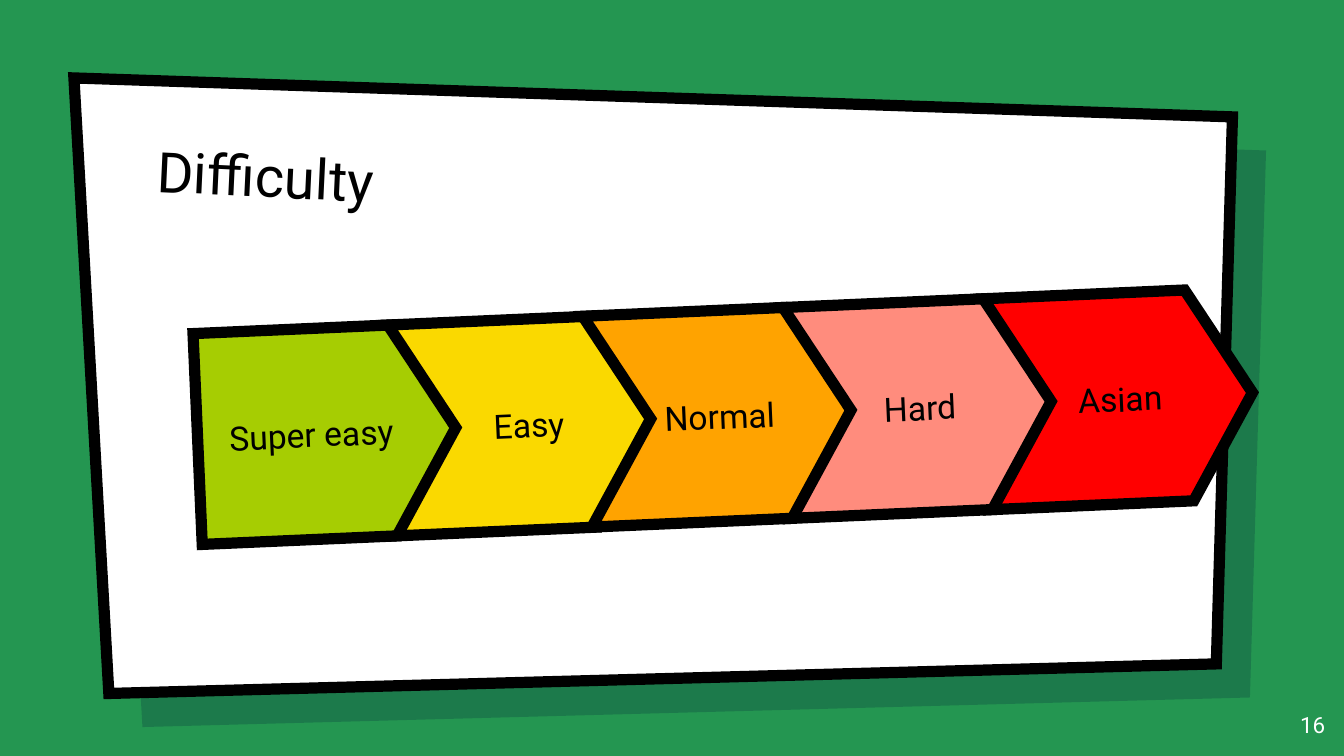
"""Build a slide with a tilted panel and a chain of difficulty steps."""
from dataclasses import dataclass

from lxml import etree
from pptx import Presentation
from pptx.dml.color import RGBColor
from pptx.enum.shapes import MSO_SHAPE
from pptx.enum.text import MSO_ANCHOR, MSO_AUTO_SIZE, PP_ALIGN
from pptx.oxml.ns import qn
from pptx.shapes.autoshape import Shape
from pptx.shapes.shapetree import SlideShapes
from pptx.util import Inches, Pt

PLATE, CHEVRON = MSO_SHAPE.PENTAGON, MSO_SHAPE.CHEVRON
LEFT, CENTER, RIGHT = PP_ALIGN.LEFT, PP_ALIGN.CENTER, PP_ALIGN.RIGHT
TOP, MIDDLE, BOTTOM = MSO_ANCHOR.TOP, MSO_ANCHOR.MIDDLE, MSO_ANCHOR.BOTTOM
NO_FIT = MSO_AUTO_SIZE.NONE


@dataclass(frozen=True)
class Theme:
    """Hold the colours, font and type sizes."""
    green: str = "249651"
    shade: str = "001936"
    white: str = "FFFFFF"
    black: str = "000000"
    font: str = "Roboto"
    title: int = 30
    label: int = 18
    number: int = 12
    line: int = 6


@dataclass(frozen=True)
class Step:
    """Describe one arrow of the chain."""
    text: str
    left: float
    fill: str
    width: float = 1.97
    kind: MSO_SHAPE = CHEVRON


THEME = Theme()
WIDTH = Inches(10)
HEIGHT = WIDTH * 9 // 16
PANEL = [(0.55, 0.58), (9.17, 0.87), (9.05, 4.94), (0.81, 5.16)]
SHIFT = 0.25
STEPS = [
    Step("Super easy", 1.47, "A6CD02", 1.93, PLATE),
    Step(" Easy", 2.92, "FAD900"),
    Step("Normal", 4.37, "FFA300"),
    Step("Hard", 5.86, "FF8C7D"),
    Step("Asian", 7.35, "FF0000"),
]
STEP_TOP, STEP_END, STEP_HEIGHT, STEP_TURN = 2.44, 2.18, 1.57, -2.5
STEP_RISE = (STEP_TOP - STEP_END) / (len(STEPS) - 1)


def place(shape: Shape, left: float, top: float, width: float, height: float) -> None:
    """Set the position and size of a shape in inches."""
    shape.left, shape.top = Inches(left), Inches(top)
    shape.width, shape.height = Inches(width), Inches(height)


def write(shape: Shape, text: str, *, size: int, color: str = THEME.black,
          align: PP_ALIGN = LEFT, anchor: MSO_ANCHOR = TOP) -> None:
    """Write formatted text into a shape."""
    frame = shape.text_frame
    frame.auto_size = NO_FIT
    frame.word_wrap = True
    frame.vertical_anchor = anchor
    frame.margin_left = frame.margin_right = Inches(0.1)
    frame.margin_top = frame.margin_bottom = Inches(0.1)
    para = frame.paragraphs[0]
    para.alignment = align
    run = para.add_run()
    run.text = text
    run.font.name = THEME.font
    run.font.size = Pt(size)
    run.font.color.rgb = RGBColor.from_string(color)


def paint(shape: Shape, fill: str, lined: bool = True) -> None:
    """Fill a shape and give it a sharp outline or none."""
    shape.shadow.inherit = False
    shape.fill.solid()
    shape.fill.fore_color.rgb = RGBColor.from_string(fill)
    if not lined:
        shape.line.fill.background()
        return
    shape.line.color.rgb = RGBColor.from_string(THEME.black)
    shape.line.width = Pt(THEME.line)
    edge = shape.element.spPr.find(qn("a:ln"))
    etree.SubElement(edge, qn("a:miter")).set("lim", "800000")


def draw_panel(shapes: SlideShapes, shift: float, fill: str, lined: bool) -> Shape:
    """Draw the slanted panel, moved right and down by the shift."""
    first, *rest = [(Inches(x + shift), Inches(y + shift)) for x, y in PANEL]
    outline = shapes.build_freeform(*first)
    outline.add_line_segments(rest, close=True)
    panel = outline.convert_to_shape()
    paint(panel, fill, lined)
    return panel


def draw_step(shapes: SlideShapes, step: Step, top: float) -> None:
    """Draw one labelled arrow of the chain."""
    arrow = shapes.add_shape(step.kind, Inches(step.left), Inches(top),
                             Inches(step.width), Inches(STEP_HEIGHT))
    arrow.adjustments[0] = 0.3
    arrow.rotation = STEP_TURN
    paint(arrow, step.fill)
    write(arrow, step.text, size=THEME.label, align=CENTER, anchor=MIDDLE)


def main() -> None:
    """Build and save the slide."""
    deck = Presentation()
    deck.slide_width, deck.slide_height = WIDTH, HEIGHT
    slide = deck.slides.add_slide(deck.slide_layouts[5])
    shapes = slide.shapes
    slide.background.fill.solid()
    slide.background.fill.fore_color.rgb = RGBColor.from_string(THEME.green)

    shade = draw_panel(shapes, SHIFT, THEME.shade, False)
    color = shade.element.spPr.find(qn("a:solidFill"))[0]
    etree.SubElement(color, qn("a:alpha")).set("val", "22000")
    panel = draw_panel(shapes, 0, THEME.white, True)

    title = shapes.title
    panel.element.addnext(title.element)
    place(title, 1.07, 0.96, 7.69, 0.83)
    title.rotation = 2.7
    write(title, "Difficulty", size=THEME.title, anchor=BOTTOM)

    number = shapes.add_textbox(0, 0, 0, 0)
    place(number, 9.36, 5.19, 0.6, 0.43)
    write(number, "16", size=THEME.number, color=THEME.white, align=RIGHT)

    for index, step in enumerate(STEPS):
        draw_step(shapes, step, STEP_TOP - index * STEP_RISE)
    deck.save("out.pptx")


if __name__ == "__main__":
    main()
